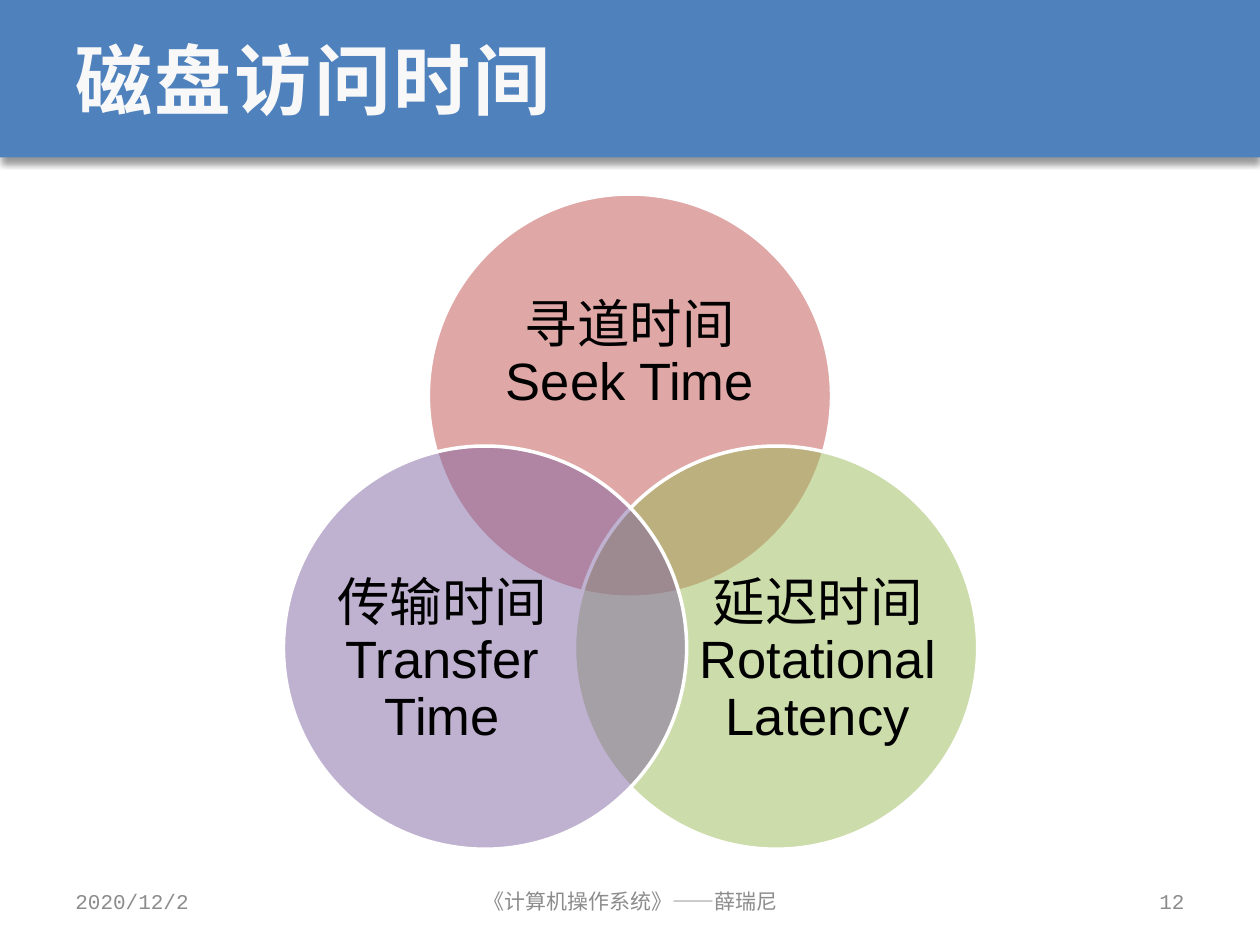
"""Build the disk access time slide with a three-circle Venn diagram."""
from dataclasses import dataclass

from lxml.etree import SubElement
from pptx import Presentation
from pptx.dml.color import RGBColor
from pptx.enum.shapes import MSO_SHAPE
from pptx.enum.text import MSO_ANCHOR, PP_ALIGN
from pptx.oxml.ns import qn
from pptx.shapes.autoshape import Shape
from pptx.slide import Slide
from pptx.util import Inches, Pt

BLUE = RGBColor(0x4F, 0x81, 0xBD)
RED = RGBColor(0xC0, 0x50, 0x4D)
GREEN = RGBColor(0x9B, 0xBB, 0x59)
PURPLE = RGBColor(0x80, 0x64, 0xA2)
WHITE = RGBColor(0xFF, 0xFF, 0xFF)
OFF_WHITE = RGBColor(0xF8, 0xF8, 0xF8)
GRAY = RGBColor(0x8C, 0x8C, 0x8C)
BLACK = RGBColor(0x00, 0x00, 0x00)

DIAMETER = 3.2
FOOTER_TOP, FOOTER_HEIGHT = 6.95, 0.4


@dataclass(frozen=True)
class Box:
    left: float
    top: float
    width: float
    height: float

    def lengths(self) -> tuple[Inches, ...]:
        return tuple(map(Inches, (self.left, self.top, self.width, self.height)))


@dataclass(frozen=True)
class TextStyle:
    size: int
    color: RGBColor
    font: str = "Courier New"
    bold: bool = False


@dataclass(frozen=True)
class TimePart:
    label: str
    color: RGBColor
    left: float
    top: float
    label_box: Box


@dataclass(frozen=True)
class FooterItem:
    wording: str
    left: float
    width: float
    align: PP_ALIGN


TITLE_STYLE = TextStyle(44, OFF_WHITE, bold=True)
LABEL_STYLE = TextStyle(30, BLACK, font="Arial")
FOOTER_STYLE = TextStyle(12, GRAY)

TIME_PARTS = [
    TimePart("寻道时间\nSeek Time", RED, 3.4, 1.54, Box(3.83, 2.1, 2.34, 1.44)),
    TimePart("延迟时间\nRotational Latency", GREEN, 4.56, 3.54, Box(5.53, 4.37, 1.92, 1.76)),
    TimePart("传输时间\nTransfer Time", PURPLE, 2.25, 3.54, Box(2.55, 4.37, 1.92, 1.76)),
]

FOOTER_ITEMS = [
    FooterItem("2020/12/2", 0.5, 2.33, PP_ALIGN.LEFT),
    FooterItem("《计算机操作系统》——薛瑞尼", 3.42, 3.17, PP_ALIGN.CENTER),
    FooterItem("12", 7.17, 2.33, PP_ALIGN.RIGHT),
]


def add_text(slide: Slide, wording: str, box: Box, style: TextStyle,
             align: PP_ALIGN = PP_ALIGN.LEFT) -> Shape:
    holder = slide.shapes.add_textbox(*box.lengths())
    frame = holder.text_frame
    frame.word_wrap = True
    frame.vertical_anchor = MSO_ANCHOR.MIDDLE
    paragraph = frame.paragraphs[0]
    paragraph.text = wording
    paragraph.alignment = align
    for run in paragraph.runs:
        run.font.name = style.font
        run.font.size = Pt(style.size)
        run.font.bold = style.bold
        run.font.color.rgb = style.color
    return holder


def add_filled(slide: Slide, preset: MSO_SHAPE, box: Box, color: RGBColor) -> Shape:
    shape = slide.shapes.add_shape(preset, *box.lengths())
    shape.shadow.inherit = False
    shape.fill.solid()
    shape.fill.fore_color.rgb = color
    return shape


def add_banner(slide: Slide, title: str) -> None:
    banner = add_filled(slide, MSO_SHAPE.RECTANGLE, Box(0, 0, 10, 1.25), BLUE)
    banner.line.fill.background()
    effects = banner.element.spPr.find(qn("a:effectLst"))
    shadow = SubElement(effects, qn("a:outerShdw"), blurRad=str(Pt(4)),
                        dist=str(Pt(3)), dir="5400000", rotWithShape="0")
    shade = SubElement(shadow, qn("a:srgbClr"), val=str(BLACK))
    SubElement(shade, qn("a:alpha"), val="40000")

    heading = add_text(slide, title, Box(0.5, 0, 9, 1.25), TITLE_STYLE)
    for run in heading.text_frame.paragraphs[0].runs:
        run.font.element.set("spc", "150") if hasattr(run.font, "element") else \
            run._r.get_or_add_rPr().set("spc", "150")


def add_circle(slide: Slide, part: TimePart) -> None:
    circle = add_filled(slide, MSO_SHAPE.OVAL,
                        Box(part.left, part.top, DIAMETER, DIAMETER), part.color)
    circle.line.color.rgb = WHITE
    circle.line.width = Pt(2)
    tint = circle.element.spPr.find(qn("a:solidFill")).find(qn("a:srgbClr"))
    SubElement(tint, qn("a:alpha"), val="50000")


def add_label(slide: Slide, part: TimePart) -> None:
    label = add_text(slide, part.label, part.label_box, LABEL_STYLE, PP_ALIGN.CENTER)
    frame = label.text_frame
    frame.margin_left = frame.margin_right = frame.margin_top = frame.margin_bottom = 0
    frame.paragraphs[0].line_spacing = 0.9


def main() -> None:
    presentation = Presentation()
    presentation.slide_width = Inches(10)
    presentation.slide_height = Inches(7.5)
    slide = presentation.slides.add_slide(presentation.slide_layouts[6])

    add_banner(slide, "磁盘访问时间")
    for part in TIME_PARTS:
        add_circle(slide, part)
        add_label(slide, part)
    for item in FOOTER_ITEMS:
        add_text(slide, item.wording,
                 Box(item.left, FOOTER_TOP, item.width, FOOTER_HEIGHT),
                 FOOTER_STYLE, item.align)

    presentation.save("out.pptx")


if __name__ == "__main__":
    main()
